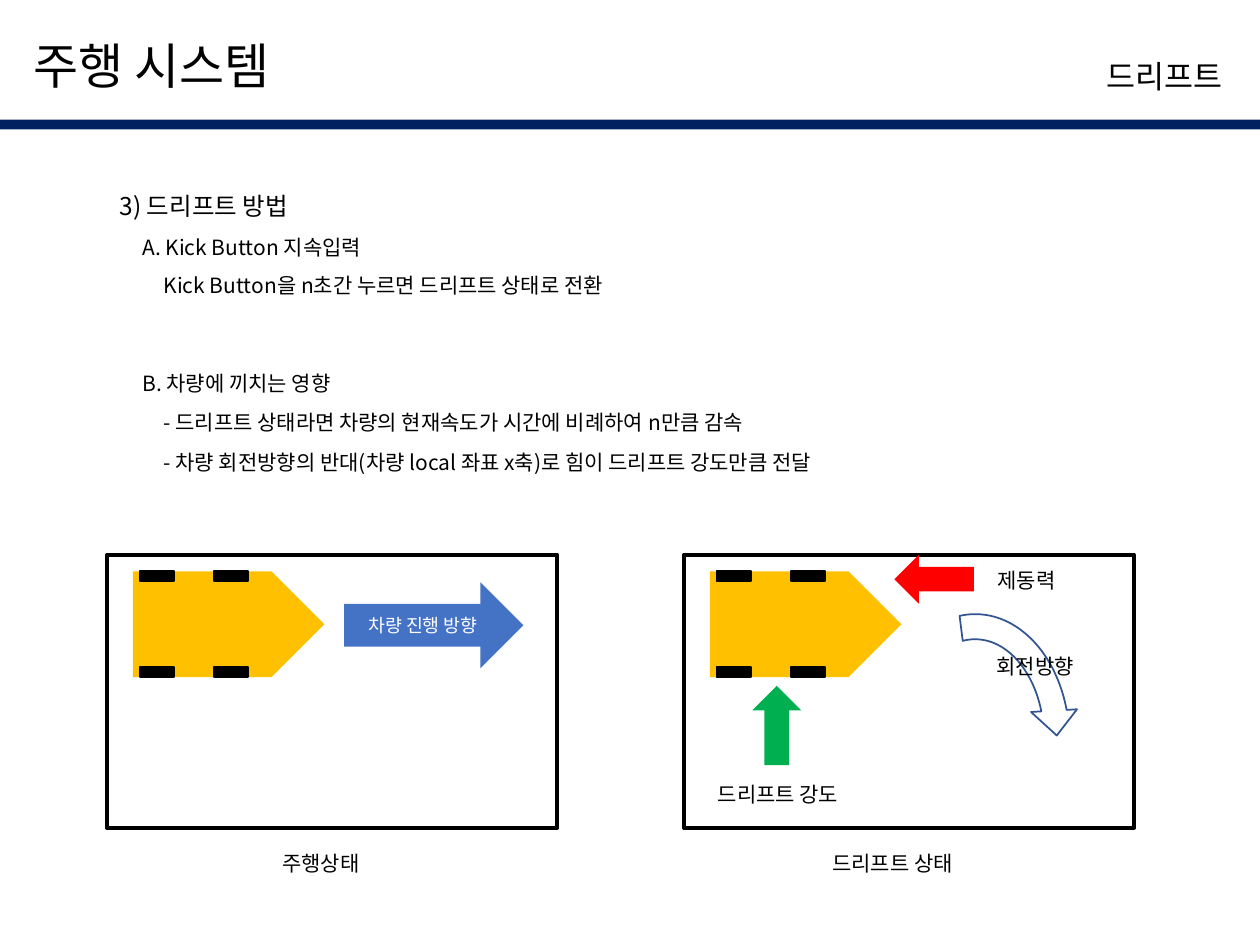
from lxml import etree
from pptx import Presentation
from pptx.dml.color import RGBColor
from pptx.enum import shapes, text
from pptx.oxml.ns import qn
from pptx.util import Cm, Pt

FONT = "Noto Sans CJK KR"
SHAPE = shapes.MSO_SHAPE
SLIDE_WIDTH, SLIDE_HEIGHT = 25.4, 19.05
FRAME_WIDTH, FRAME_HEIGHT = 9.07, 5.51


def color(value):
    return RGBColor.from_string(value)


def write(shape, words, size, font_color="000000"):
    """Put one paragraph in a shape, in the same font for Latin and Korean."""
    paragraph = shape.text_frame.paragraphs[0]
    paragraph.text = words
    paragraph.font.size = Pt(size)
    paragraph.font.color.rgb = color(font_color)
    paragraph.font.name = FONT
    properties = paragraph._p.pPr.find(qn("a:defRPr"))
    etree.SubElement(properties, qn("a:ea"), typeface=FONT)
    return paragraph


def add_label(slide, words, left, top, width, size=12, height=0.76):
    box = slide.shapes.add_textbox(Cm(left), Cm(top), Cm(width), Cm(height))
    box.text_frame.word_wrap = False
    box.text_frame.auto_size = text.MSO_AUTO_SIZE.SHAPE_TO_FIT_TEXT
    write(box, words, size)


def add_block(parent, kind, left, top, width, height,
              fill=None, line=None, line_width=1, rotation=0):
    shape = parent.shapes.add_shape(kind, Cm(left), Cm(top), Cm(width), Cm(height))
    shape.shadow.inherit = False
    shape.rotation = rotation
    if fill:
        shape.fill.solid()
        shape.fill.fore_color.rgb = color(fill)
    else:
        shape.fill.background()
    if line:
        shape.line.color.rgb = color(line)
        shape.line.width = Pt(line_width)
    else:
        shape.line.fill.background()
    return shape


def add_header(slide):
    add_block(slide, SHAPE.RECTANGLE, 0, 2.41, SLIDE_WIDTH, 0.2, "002060")
    title = slide.shapes.title
    title.left, title.top, title.width, title.height = Cm(0.43), Cm(0.58), Cm(5.77), Cm(1.45)
    frame = title.text_frame
    frame.word_wrap = False
    frame.auto_size = text.MSO_AUTO_SIZE.SHAPE_TO_FIT_TEXT
    frame.vertical_anchor = text.MSO_ANCHOR.TOP
    write(title, "주행 시스템", 28).alignment = text.PP_ALIGN.LEFT
    add_label(slide, "드리프트", 22.05, 1.02, 3.02, 18, 1.02)


def add_outline(slide, left, top):
    indents = (0, 0.46, 0.89)
    add_label(slide, "3) 드리프트 방법", left, top, 4.37, 14, 0.86)
    lines = [
        (1, 0.87, 5.33, "A. Kick Button 지속입력"),
        (2, 1.63, 10.13, "Kick Button을 n초간 누르면 드리프트 상태로 전환"),
        (1, 3.61, 4.78, "B. 차량에 끼치는 영향"),
        (2, 4.4, 13.46, "- 드리프트 상태라면 차량의 현재속도가 시간에 비례하여 n만큼 감속"),
        (2, 5.21, 14.78, "- 차량 회전방향의 반대(차량 local 좌표 x축)로 힘이 드리프트 강도만큼 전달"),
    ]
    for level, offset, width, words in lines:
        add_label(slide, words, left + indents[level], top + offset, width)


def add_car(slide, left, top):
    car = slide.shapes.add_group_shape()
    add_block(car, SHAPE.PENTAGON, left, top, 3.86, 2.13, "FFC000")
    # Wheels: front and rear on both sides
    for x in (1.88, 0.38):
        for y in (-0.25, 1.68):
            add_block(car, SHAPE.RECTANGLE, left + x, top + y, 0.2, 0.69,
                      "000000", "000000", rotation=90)


def add_state(slide, left, top, caption, caption_left, caption_width):
    """Frame, caption and car shared by both driving states."""
    add_block(slide, SHAPE.RECTANGLE, left, top, FRAME_WIDTH, FRAME_HEIGHT,
              line="000000", line_width=2.25)
    add_label(slide, caption, left + caption_left, top + 5.84, caption_width)
    add_car(slide, left + 0.52, top + 0.34)


def add_driving_state(slide, left, top):
    add_state(slide, left, top, "주행상태", 3.28, 2.18)
    arrow = add_block(slide, SHAPE.RIGHT_ARROW, left + 4.78, top + 0.56, 3.61, 1.73, "4472C4")
    arrow.text_frame.vertical_anchor = text.MSO_ANCHOR.MIDDLE
    write(arrow, "차량 진행 방향", 10.5, "FFFFFF").alignment = text.PP_ALIGN.CENTER


def add_drift_state(slide, left, top):
    add_state(slide, left, top, "드리프트 상태", 2.74, 3.15)
    # Turning direction
    turn = add_block(slide, SHAPE.CIRCULAR_ARROW, left + 3.76, top + 0.99, 4.22, 5.51,
                     "FFFFFF", "325491")
    for index, value in enumerate((0.12, 10.36, 203.62, 157.71, 0.11)):
        turn.adjustments[index] = value
    # Forces
    for x, y, fill, rotation in ((1.07, 2.95, "00B050", 270), (4.24, 0, "FF0000", 180)):
        add_block(slide, SHAPE.RIGHT_ARROW, left + x, top + y, 1.6, 0.99,
                  fill, rotation=rotation)
    for words, x, y, width in (("회전방향", 6.05, 1.88, 2.21),
                               ("드리프트 강도", 0.43, 4.45, 3.15),
                               ("제동력", 6.07, 0.13, 1.78)):
        add_label(slide, words, left + x, top + y, width)


def main():
    presentation = Presentation()
    presentation.slide_width = Cm(SLIDE_WIDTH)
    presentation.slide_height = Cm(SLIDE_HEIGHT)
    slide = presentation.slides.add_slide(presentation.slide_layouts[5])
    add_header(slide)
    add_outline(slide, 2.16, 3.73)
    add_driving_state(slide, 2.16, 11.18)
    add_drift_state(slide, 13.79, 11.18)
    presentation.save("out.pptx")


if __name__ == "__main__":
    main()
